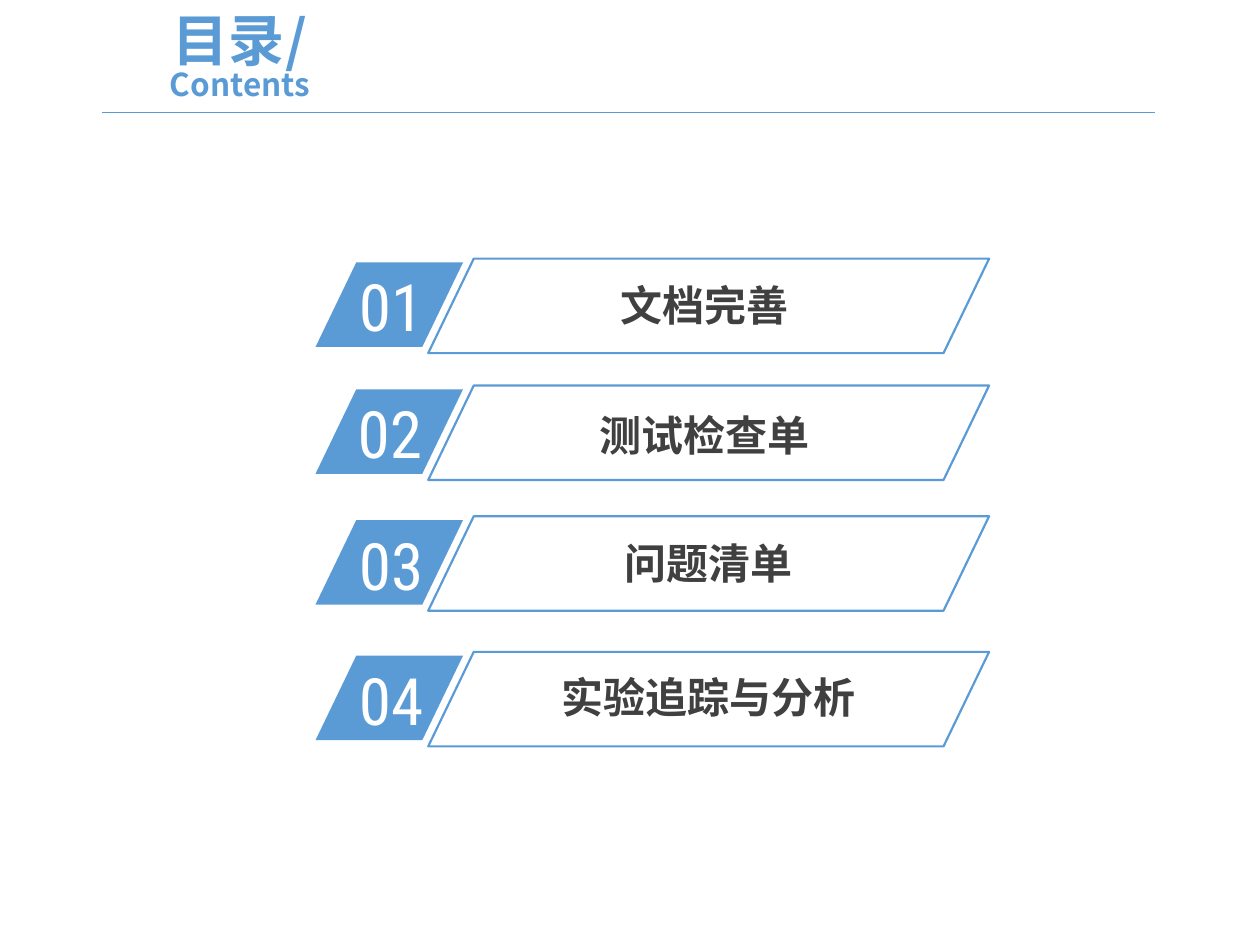
from lxml.etree import SubElement
from pptx import Presentation
from pptx.dml.color import RGBColor as RGB
from pptx.enum.shapes import MSO_CONNECTOR as Link, MSO_SHAPE as Kind
from pptx.enum.text import MSO_ANCHOR as Anchor, MSO_AUTO_SIZE as Fit, PP_ALIGN as Align
from pptx.oxml.ns import qn
from pptx.util import Pt

COLORS = {"blue": "5B9BD5", "dark": "404040", "white": "FFFFFF"}
HAN, NUM = "Noto Sans CJK SC", "Roboto Condensed"


def add_run(par, text, size, font, color, bold):
    run = par.add_run()
    run.text = text
    run.font.size, run.font.name, run.font.bold = Pt(size), font, bold
    run.font.color.rgb = RGB.from_string(COLORS[color])
    SubElement(run.font._element, qn("a:ea")).set("typeface", font)


def add_text(left, top, width, height, align, *style):
    box = slide.shapes.add_textbox(Pt(left), Pt(top), Pt(width), Pt(height))
    box.text_frame.word_wrap = True
    par = box.text_frame.paragraphs[0]
    par.alignment = align
    add_run(par, *style)


prs = Presentation()
prs.slide_width, prs.slide_height = Pt(720), Pt(540)
slide = prs.slides.add_slide(prs.slide_layouts[5])
blue = RGB.from_string(COLORS["blue"])

# Title
title = slide.shapes.title
title.left, title.top, title.width, title.height = Pt(48.2), Pt(15.1), Pt(177.8), Pt(38.9)
frame = title.text_frame
frame.auto_size, frame.vertical_anchor = Fit.NONE, Anchor.MIDDLE
par = frame.paragraphs[0]
par.alignment, par.line_spacing = Align.CENTER, 0.8
add_run(par, "目录/", 32, HAN, "blue", True)
par.add_line_break()
add_run(par, "Contents", 18, HAN, "blue", True)

# Rule under the title
rule = slide.shapes.add_connector(Link.STRAIGHT, Pt(58.3), Pt(64.1), Pt(660.3), Pt(64.1))
rule.line.color.rgb, rule.line.width = blue, Pt(0.5)
SubElement(rule._element.spPr, qn("a:effectLst"))

# Contents rows: top of the frame, label, middle of the label, its drop, number's left and drop
rows = [
    (147.8, "文档完善", 402.5, 8.4, 198, 0.6),
    (220.3, "测试检查单", 402.5, 10.1, 197.3, 0.7),
    (295, "问题清单", 405, 8.8, 198, 1.7),
    (372.5, "实验追踪与分析", 405, 7.7, 198, 1.2),
]
for i, (top, label, mid, drop, left, dip) in enumerate(rows, 1):
    tab = slide.shapes.add_shape(Kind.PARALLELOGRAM, Pt(180.3), Pt(top + 2.2), Pt(84.3), Pt(48.3))
    tab.fill.solid()
    tab.fill.fore_color.rgb = blue
    tab.line.fill.background()
    edge = slide.shapes.add_shape(Kind.PARALLELOGRAM, Pt(244.7), Pt(top), Pt(320.5), Pt(54))
    edge.fill.background()
    edge.line.color.rgb, edge.line.width = blue, Pt(1.25)
    for shape in (tab, edge):
        shape.adjustments[0] = 0.482
        shape.shadow.inherit = False
    add_text(left, top + dip, 60, 52.6, Align.LEFT, f"{i:02}", 37.3, NUM, "white", False)
    add_text(mid - 95, top + drop, 190, 36, Align.CENTER, label, 24, HAN, "dark", True)

prs.save("out.pptx")
